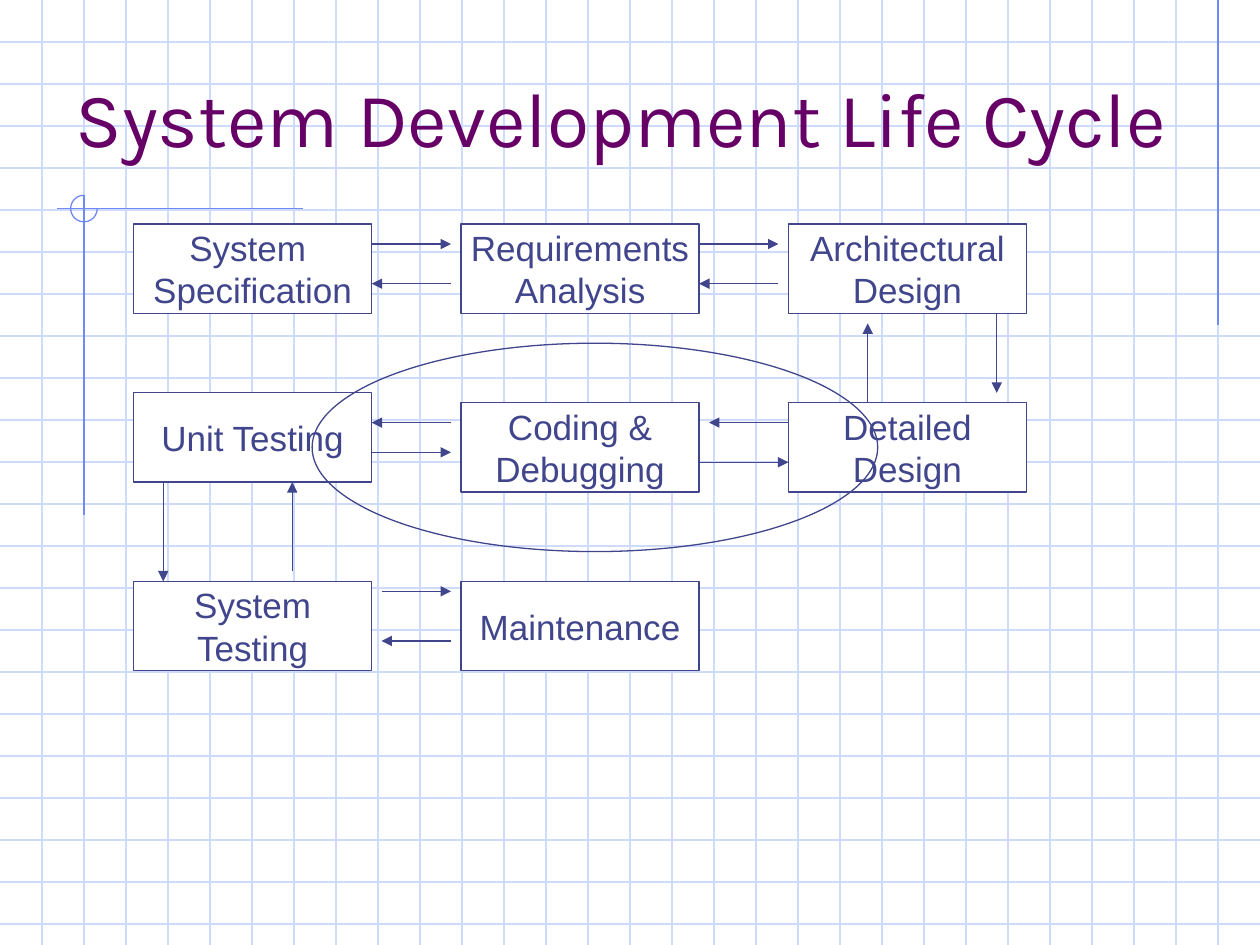
import lxml.etree
import pptx
import pptx.dml.color
import pptx.enum.shapes
import pptx.enum.text
import pptx.oxml.ns
import pptx.util

Pt = pptx.util.Pt
SHAPE = pptx.enum.shapes.MSO_SHAPE
ALIGN = pptx.enum.text.PP_ALIGN
WIDTH, HEIGHT = 720, 540
GRID, ACCENT, INK, PURPLE = "CFDBFD", "6F89F7", "40458C", "660066"

UNIT = 5.67  # step of the grid on which the diagram is laid out
BOX_SIZE = (24, 9)

# left, top (in units) and lines of text
STAGES = [
    (0, 0, ["System ", "Specification"]),
    (33, 0, ["Requirements", "Analysis"]),
    (66, 0, ["Architectural", "Design"]),
    (66, 18, ["Detailed", "Design"]),
    (33, 18, ["Coding &", "Debugging"]),
    (0, 17, ["Unit Testing"]),
    (0, 36, ["System", "Testing"]),
    (33, 36, ["Maintenance"]),
]

# start x, start y, end x, end y (in units)
ARROWS = [
    (24, 2, 32, 2), (57, 2, 65, 2), (87, 9, 87, 17), (66, 20, 58, 20),
    (32, 20, 24, 20), (3, 26, 3, 36), (25, 37, 32, 37), (32, 42, 25, 42),
    (16, 35, 16, 26), (24, 23, 32, 23), (57, 24, 66, 24), (74, 18, 74, 10),
    (65, 6, 57, 6), (32, 6, 24, 6),
]
LOOP = (18, 12, 57, 21)


def colour(value):
    return pptx.dml.color.RGBColor.from_string(value)


def add_line(shapes, start, end, line, arrow=False):
    connector = shapes.add_connector(
        pptx.enum.shapes.MSO_CONNECTOR.STRAIGHT, *map(Pt, (*start, *end)))
    connector.line.color.rgb = colour(line)
    connector.line.width = Pt(0.75)
    if arrow:
        head = lxml.etree.SubElement(
            connector.line._get_or_add_ln(), pptx.oxml.ns.qn("a:tailEnd"))
        head.set("type", "triangle")
    lxml.etree.SubElement(connector.element.spPr, pptx.oxml.ns.qn("a:effectLst"))


def add_outline(shapes, kind, box, line, fill=None):
    shape = shapes.add_shape(kind, *map(Pt, box))
    shape.shadow.inherit = False
    shape.line.color.rgb = colour(line)
    shape.line.width = Pt(0.75)
    if fill:
        shape.fill.solid()
        shape.fill.fore_color.rgb = colour(fill)
    else:
        shape.fill.background()
    return shape


def write(frame, lines, size, font, ink, align, wrap):
    frame.word_wrap = wrap
    frame.auto_size = pptx.enum.text.MSO_AUTO_SIZE.NONE
    frame.vertical_anchor = pptx.enum.text.MSO_ANCHOR.MIDDLE
    frame.text = "\n".join(lines)
    for para in frame.paragraphs:
        para.alignment = align
        for span in para.runs:
            span.font.size = Pt(size)
            span.font.name = font
            span.font.color.rgb = colour(ink)


def draw_grid(page, left, top, width, height, step=24):
    shapes = page.shapes.add_group_shape().shapes
    right, bottom = left + width, top + height
    for y in range(top + step, bottom, step):
        add_line(shapes, (left, y), (right, y), GRID)
    for x in range(left + step, right, step):
        add_line(shapes, (x, top), (x, bottom), GRID)


def draw_corner_marks(page, left, top, width):
    """Rule at the right edge, and crossed rules with an open ring at the left."""
    shapes = page.shapes.add_group_shape().shapes
    x, y, radius = left + 48, top + 119.2, 7.6
    edge = left + width - 24
    add_line(shapes, (edge, top), (edge, top + 186), ACCENT)
    add_line(shapes, (x + 125, y), (x - 15.5, y), ACCENT)
    add_line(shapes, (x, y - radius), (x, y + 175.3), ACCENT)
    ring = add_outline(shapes, SHAPE.ARC,
                       (x - radius, y - radius, 2 * radius, 2 * radius), ACCENT)
    # Arc angles are stored in 1/60000 degree and scaled by 100000
    ring.adjustments[0] = 0
    ring.adjustments[1] = 270 * 0.6


def place_title(page, text, left, top, width, height):
    title = page.shapes.title
    title.left, title.top, title.width, title.height = map(
        Pt, (left, top, width, height))
    write(title.text_frame, [text], 44, "Karla", PURPLE, ALIGN.LEFT, True)
    title.element.getparent().append(title.element)  # in front of the grid


def draw_life_cycle(page, left, top):
    def at(x, y):
        return left + x * UNIT, top + y * UNIT

    def area(x, y, width, height):
        return *at(x, y), width * UNIT, height * UNIT

    for x, y, lines in STAGES:
        stage = add_outline(page.shapes, SHAPE.RECTANGLE,
                            area(x, y, *BOX_SIZE), INK, "FFFFFF")
        write(stage.text_frame, lines, 20, "Arial", INK, ALIGN.CENTER, False)
    for x1, y1, x2, y2 in ARROWS:
        add_line(page.shapes, at(x1, y1), at(x2, y2), INK, arrow=True)
    add_outline(page.shapes, SHAPE.OVAL, area(*LOOP), INK)


def main():
    deck = pptx.Presentation()
    deck.slide_width, deck.slide_height = Pt(WIDTH), Pt(HEIGHT)
    page = deck.slides.add_slide(deck.slide_layouts.get_by_name("Title Only"))
    page.background.fill.solid()
    page.background.fill.fore_color.rgb = colour("FFFFFF")
    draw_grid(page, 0, 0, WIDTH, HEIGHT)
    draw_corner_marks(page, 0, 0, WIDTH)
    place_title(page, "System Development Life Cycle", 36, 21.6, 648, 90)
    draw_life_cycle(page, 76.3, 128.1)
    deck.save("out.pptx")


if __name__ == "__main__":
    main()
